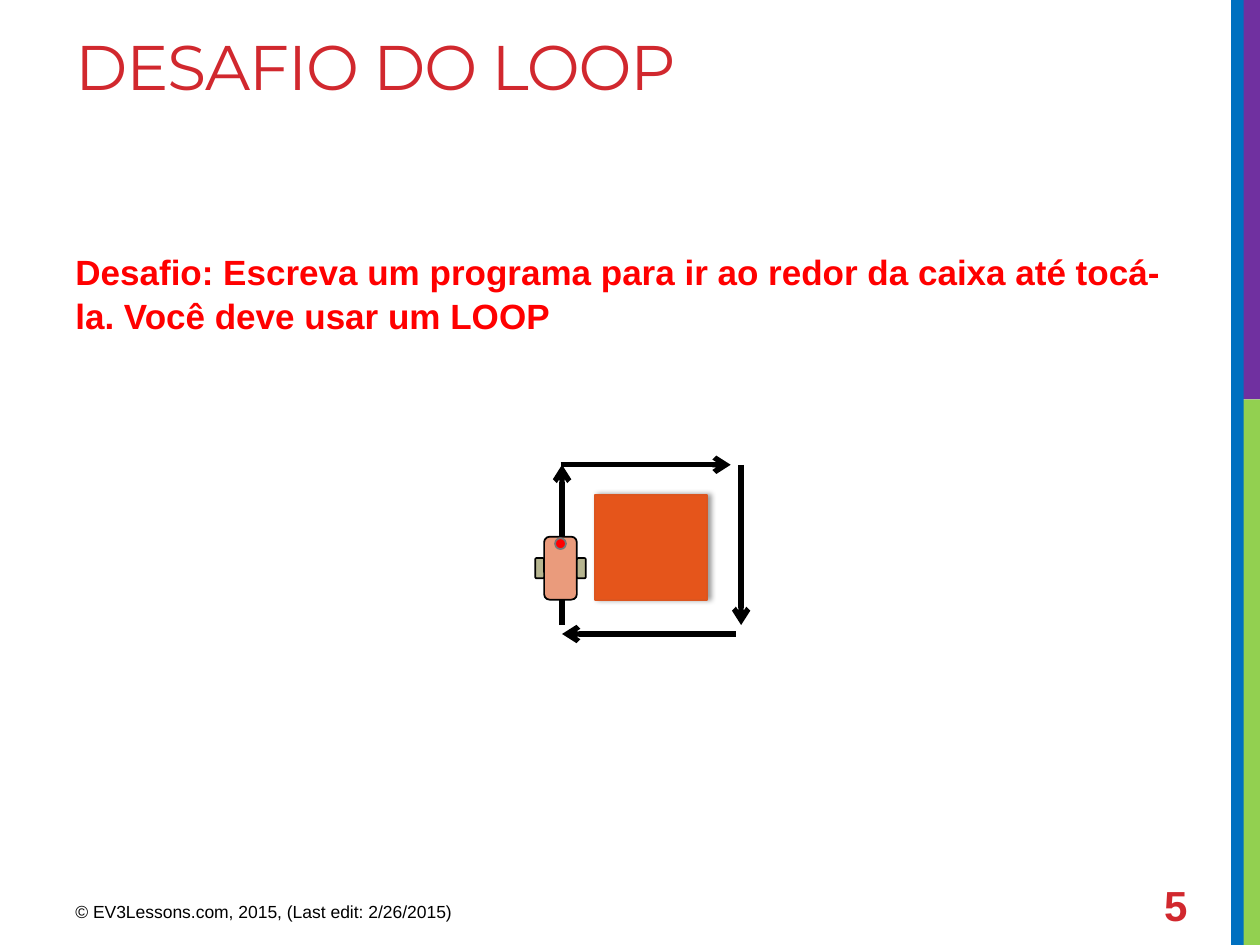
from lxml.etree import SubElement
from pptx import Presentation
from pptx.dml.color import RGBColor
from pptx.enum.shapes import MSO_CONNECTOR, MSO_SHAPE
from pptx.enum.text import MSO_ANCHOR
from pptx.oxml.ns import qn
from pptx.util import Cm, Pt

COLORS = {
    "green": "92D050", "purple": "7030A0", "blue": "0070C0",
    "crimson": "D1282E", "red": "FF0000", "black": "000000",
    "box": "E5551B", "box_edge": "DC551F", "robot": "EA9B7C",
    "wheel": "B6B590", "sensor_edge": "777777",
}


def rgb(name):
    return RGBColor.from_string(COLORS[name])


def add_figure(shapes, kind, bounds, fill, edge=None):
    figure = shapes.add_shape(kind, *map(Cm, bounds))
    figure.fill.solid()
    figure.fill.fore_color.rgb = rgb(fill)
    if edge:
        figure.line.color.rgb = rgb(edge)
        figure.line.width = Pt(1)
    else:
        figure.line.fill.background()
    figure.shadow.inherit = False
    return figure


def add_text(slide, bounds, text, size, color, font="Arial", bold=False,
             anchor=MSO_ANCHOR.TOP, tracking=None, line_spacing=None):
    frame = slide.shapes.add_textbox(*map(Cm, bounds)).text_frame
    frame.word_wrap = True
    frame.vertical_anchor = anchor
    paragraph = frame.paragraphs[0]
    if line_spacing:
        paragraph.line_spacing = line_spacing
    run = paragraph.add_run()
    run.text = text
    run.font.name = font
    run.font.size = Pt(size)
    run.font.bold = bold
    run.font.color.rgb = rgb(color)
    if tracking:
        run.font._element.set("spc", str(tracking))


def add_arrow(slide, start, end):
    arrow = slide.shapes.add_connector(
        MSO_CONNECTOR.STRAIGHT, *map(Cm, (*start, *end)))
    arrow.line.color.rgb = rgb("black")
    arrow.line.width = Pt(3)
    SubElement(arrow.line._get_or_add_ln(), qn("a:tailEnd"), type="arrow")
    SubElement(arrow._element.spPr, qn("a:effectLst"))


def add_box(slide):
    box = add_figure(slide.shapes, MSO_SHAPE.RECTANGLE,
                     (11.99, 9.98, 2.26, 2.11), "box", "box_edge")
    effects = box._element.spPr.find(qn("a:effectLst"))
    shadow = SubElement(effects, qn("a:outerShdw"), blurRad=str(Pt(3.1)),
                        dist=str(Pt(1.8)), dir="0", rotWithShape="0")
    tint = SubElement(shadow, qn("a:srgbClr"), val=COLORS["black"])
    SubElement(tint, qn("a:alpha"), val="40000")


def add_robot(slide):
    robot = slide.shapes.add_group_shape().shapes
    rounded = MSO_SHAPE.ROUNDED_RECTANGLE
    add_figure(robot, rounded, (10.97, 10.82, 0.66, 1.27), "robot", "black")
    for wheel_left in (11.63, 10.79):
        add_figure(robot, rounded, (wheel_left, 11.25, 0.18, 0.41), "wheel", "black")
    add_figure(robot, MSO_SHAPE.OVAL, (11.19, 10.85, 0.22, 0.22), "red", "sensor_edge")


def main():
    presentation = Presentation()
    presentation.slide_width, presentation.slide_height = Cm(25.4), Cm(19.05)
    slide = presentation.slides.add_slide(presentation.slide_layouts[6])

    for bounds, color in (
        ((25.02, 8.05, 0.38, 11), "green"),
        ((24.92, 0, 0.48, 8.05), "purple"),
        ((24.82, 0, 0.25, 19.05), "blue"),
    ):
        add_figure(slide.shapes, MSO_SHAPE.RECTANGLE, bounds, color)

    add_text(slide, (1.27, 0.43, 22.91, 3.81), "DESAFIO DO LOOP", 36, "crimson",
             font="Montserrat", tracking=-60)
    add_text(slide, (1.27, 4.88, 22.91, 12.14),
             "Desafio: Escreva um programa para ir ao redor da caixa até tocá-la. "
             "Você deve usar um LOOP", 20, "red", bold=True, line_spacing=1.05)
    add_text(slide, (1.27, 18.03, 9.53, 0.79),
             "© EV3Lessons.com, 2015, (Last edit: 2/26/2015)", 10, "black")
    add_text(slide, (23.22, 17.73, 1.65, 1.02), "5", 24, "crimson", bold=True,
             anchor=MSO_ANCHOR.MIDDLE)

    add_box(slide)
    for start, end in (
        ((11.33, 12.6), (11.33, 9.37)),
        ((11.3, 9.37), (14.73, 9.37)),
        ((14.94, 9.37), (14.94, 12.6)),
        ((14.83, 12.78), (11.33, 12.78)),
    ):
        add_arrow(slide, start, end)
    add_robot(slide)

    presentation.save("out.pptx")


if __name__ == "__main__":
    main()
